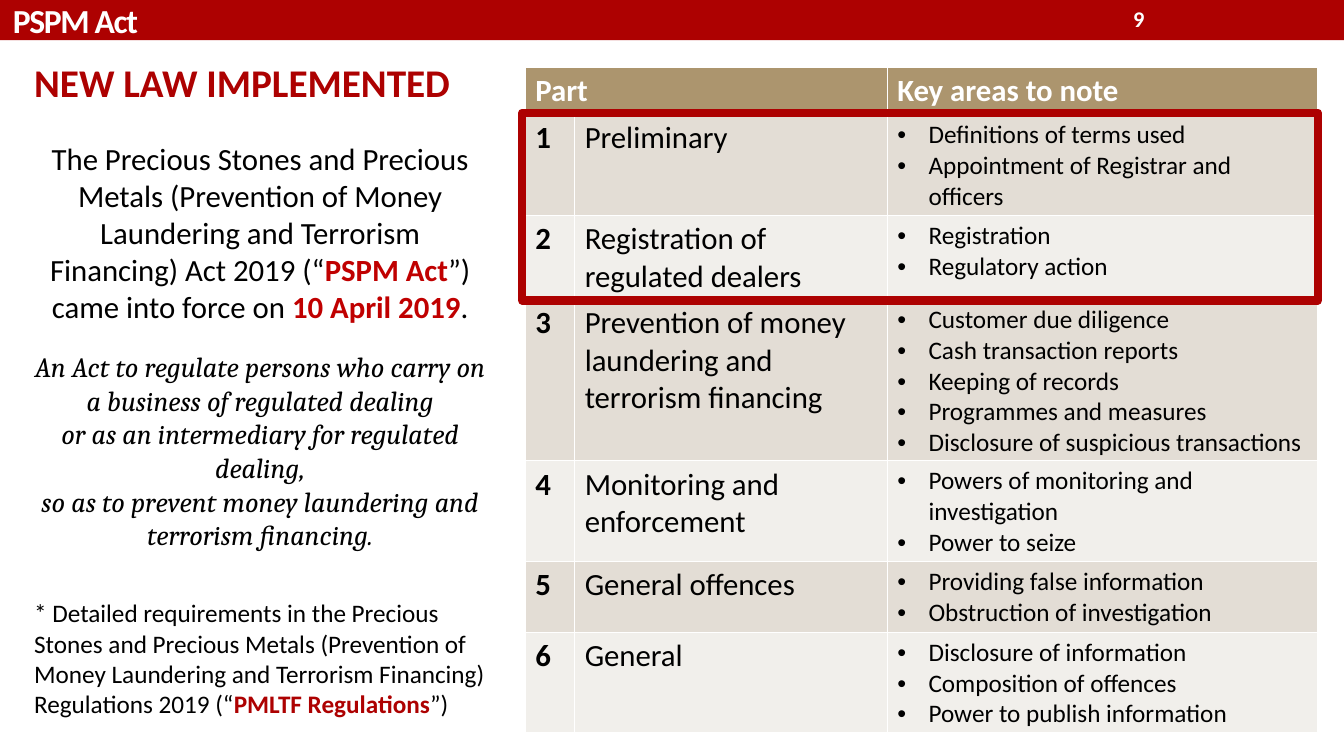
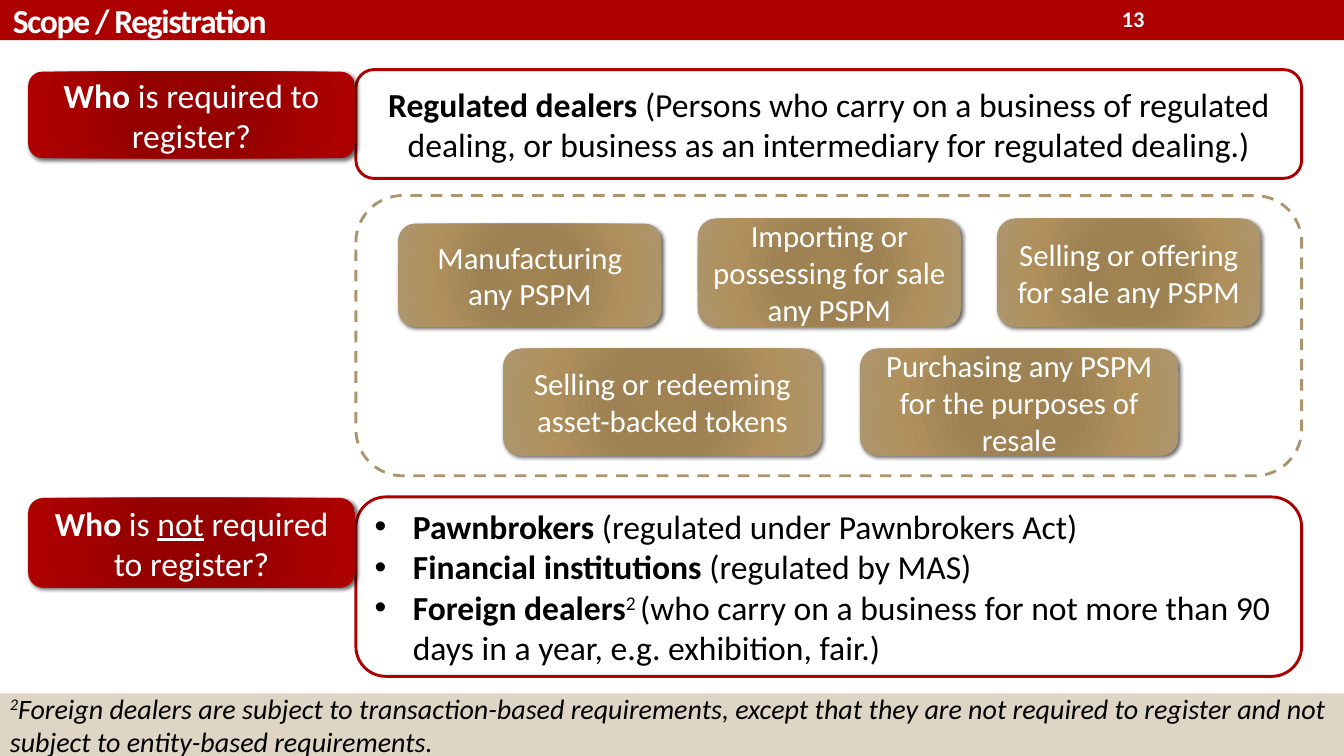
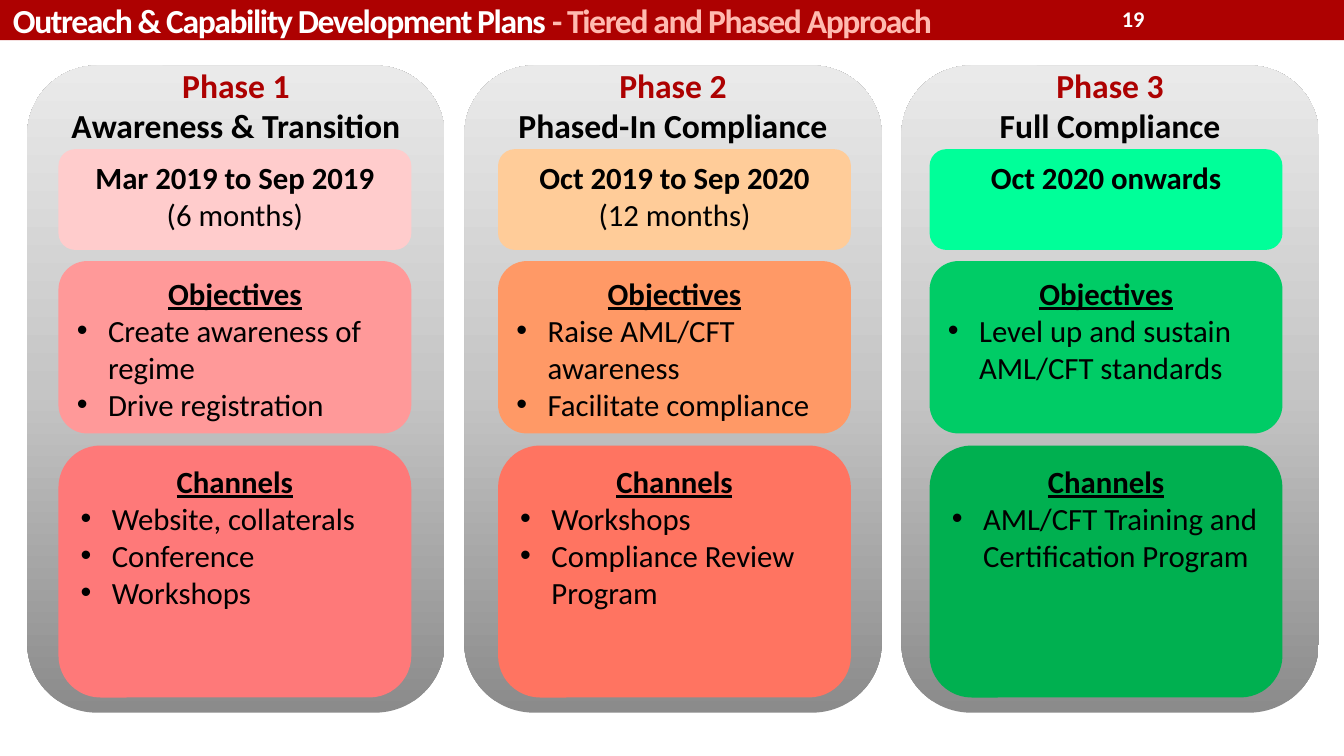
from lxml import etree
from pptx import Presentation
from pptx.dml.color import RGBColor
from pptx.enum.dml import MSO_LINE
from pptx.enum.shapes import MSO_SHAPE
from pptx.enum.text import MSO_ANCHOR, PP_ALIGN
from pptx.oxml.ns import qn
from pptx.util import Emu, Inches, Pt

RECT, ROUND = MSO_SHAPE.RECTANGLE, MSO_SHAPE.ROUNDED_RECTANGLE
LEFT, CENTER, RIGHT = PP_ALIGN.LEFT, PP_ALIGN.CENTER, PP_ALIGN.RIGHT
TOP, MIDDLE = MSO_ANCHOR.TOP, MSO_ANCHOR.MIDDLE
DASH = MSO_LINE.DASH

COLORS = {
    "red": "AD0101", "bright": "C00000", "pink": "FFBAB0", "gold": "AC956E",
    "sand": "DED5C5", "dark_row": "E3DDD5", "light_row": "F1EFEB",
    "white": "FFFFFF", "black": "000000",
}
RED_GLOW = [(0, "950000"), (34, "950000"), (70, "A60000"), (100, "AD0101")]
GOLD_GLOW = [(0, "A18351"), (34, "9E8254"), (70, "B0915D"), (100, "AC956E")]
GREY_FADE = [(0, "8B8B8B"), (50, "C5C5C5"), (100, "EAEAEA")]
BOLD = {"bold": True}

LAW_TITLE = "NEW LAW IMPLEMENTED"
LAW_INTRO = [
    "The Precious Stones and Precious Metals (Prevention of Money Laundering and Terrorism Financing) Act 2019 (“",
    ("PSPM Act", {"bold": True, "color": "bright"}),
    "”) came into force on ",
    ("10 April 2019", {"bold": True, "color": "bright"}),
    ".",
]
LAW_PURPOSE = [
    "An Act to regulate persons who carry on a business of regulated dealing",
    "or as an intermediary for regulated dealing,",
    "so as to prevent money laundering and terrorism financing.",
]
LAW_NOTE = [[
    "* Detailed requirements in the Precious Stones and Precious Metals (Prevention of Money Laundering and Terrorism Financing) Regulations 2019 (“",
    ("PMLTF Regulations", {"bold": True, "color": "red"}),
    "”)",
]]
PARTS = [
    ("Preliminary", ["Definitions of terms used", "Appointment of Registrar and officers"]),
    ("Registration of regulated dealers", ["Registration", "Regulatory action"]),
    ("Prevention of money laundering and terrorism financing",
     ["Customer due diligence", "Cash transaction reports", "Keeping of records",
      "Programmes and measures", "Disclosure of suspicious transactions"]),
    ("Monitoring and enforcement", ["Powers of monitoring and investigation", "Power to seize"]),
    ("General offences", ["Providing false information", "Obstruction of investigation"]),
    ("General", ["Disclosure of information", "Composition of offences", "Power to publish information"]),
]
PART_WIDTHS = [0.49, 3.1, 4.27]

QUESTIONS = [
    (0.71, 0.86, [("Who", BOLD), " is required to register?"]),
    (4.94, 0.89, [("Who", BOLD), " is ", ("not", {"underline": True}), " required to register?"]),
]
DEALERS = [[
    ("Regulated dealers ", BOLD),
    "(Persons who carry on a business of regulated dealing, or business as an intermediary for regulated dealing.)",
]]
EXEMPT = [
    [("Pawnbrokers", BOLD), " (regulated under Pawnbrokers Act)"],
    [("Financial institutions ", BOLD), "(regulated by MAS)"],
    [("Foreign dealers", BOLD), ("2 ", {"raised": True}),
     "(who carry on a business for not more than 90 days in a year, e.g. exhibition, fair.)"],
]
FOOTNOTE = [[
    ("2", {"raised": True}),
    "Foreign dealers are subject to transaction-based requirements, except that they are not required to register and not subject to entity-based requirements.",
]]
ACTIVITY_ROWS = [
    (3.95, 2.97, 2.61, 3.24, [
        ("Manufacturing any PSPM", 1.02),
        ("Importing or possessing for sale any PSPM", 1.07),
        ("Selling or offering for sale any PSPM", 1.07),
    ]),
    (4.99, 3.54, 3.16, 4.52, [
        ("Selling or redeeming asset-backed tokens", 1.06),
        ("Purchasing any PSPM for the purposes of resale", 1.06),
    ]),
]

PHASES = [
    {"name": "Awareness & Transition", "left": 0.58, "fills": ["FFCCCC", "FF9999", "FE7979"],
     "dates": "Mar 2019 to Sep 2019", "length": "(6 months)",
     "Objectives": ["Create awareness of regime", "Drive registration"],
     "Channels": ["Website, collaterals", "Conference", "Workshops"]},
    {"name": "Phased-In Compliance", "left": 4.94, "fills": ["FFCC99", "FF9966", "FF7461"],
     "dates": "Oct 2019 to Sep 2020", "length": "(12 months)",
     "Objectives": ["Raise AML/CFT awareness", "Facilitate compliance"],
     "Channels": ["Workshops", "Compliance Review Program"]},
    {"name": "Full Compliance", "left": 9.22, "fills": ["00FF99", "00CC66", "00B050"],
     "dates": "Oct 2020 onwards", "length": None,
     "Objectives": ["Level up and sustain AML/CFT standards"],
     "Channels": ["AML/CFT Training and Certification Program"]},
]
PHASE_BANDS = [(1.48, 1.0), (2.59, 1.71), (4.42, 2.5)]


def rgb(color):
    return RGBColor.from_string(COLORS.get(color, color))


def child(parent, tag, **attributes):
    return etree.SubElement(parent, qn(tag), {key: str(value) for key, value in attributes.items()})


def write_para(para, spans, size=22, color="black", font="Calibri", bold=False, italic=False,
               underline=False, align=LEFT, before=0, bullet=0, tracking=0):
    para.alignment = align
    para.space_before = Pt(before)
    if bullet:
        props = para._p.get_or_add_pPr()
        props.set("marL", str(Inches(bullet)))
        props.set("indent", str(-Inches(bullet)))
        child(props, "a:buFont", typeface="Arial")
        child(props, "a:buChar", char="•")
    for part in [spans] if isinstance(spans, str) else spans:
        words, own = (part, {}) if isinstance(part, str) else part
        span = para.add_run()
        span.text = words
        span.font.name = font
        span.font.size = Pt(size)
        span.font.bold = own.get("bold", bold)
        span.font.italic = italic
        span.font.underline = own.get("underline", underline)
        span.font.color.rgb = rgb(own.get("color", color))
        if own.get("raised"):
            span.font._element.set("baseline", "30000")
        if tracking:
            span.font._element.set("spc", str(tracking * 100))


def write(frame, paragraphs, anchor=TOP, **style):
    frame.word_wrap = True
    frame.vertical_anchor = anchor
    for index, item in enumerate(paragraphs):
        spans, own = item if isinstance(item, tuple) else (item, {})
        para = frame.add_paragraph() if index else frame.paragraphs[0]
        write_para(para, spans, **{**style, **own})


def add_text(page, place, paragraphs, **style):
    box = page.shapes.add_textbox(*map(Inches, place))
    write(box.text_frame, paragraphs, **style)


def set_gradient(shape, stops, angle=None):
    gradient = etree.Element(qn("a:gradFill"), rotWithShape="1")
    stop_list = child(gradient, "a:gsLst")
    for position, color in stops:
        child(child(stop_list, "a:gs", pos=position * 1000), "a:srgbClr", val=color)
    if angle is None:
        circle = child(gradient, "a:path", path="circle")
        child(circle, "a:fillToRect", l=100000, t=100000, r=100000, b=100000)
    else:
        child(gradient, "a:lin", ang=angle * 60000, scaled=0)
    shape._element.spPr.find(qn("a:prstGeom")).addnext(gradient)


def add_shadow(shape):
    effects = shape._element.spPr.find(qn("a:effectLst"))
    shadow = child(effects, "a:outerShdw", blurRad=Pt(3), dist=Pt(2), dir=45 * 60000,
                   algn="tl", rotWithShape=0)
    child(child(shadow, "a:srgbClr", val=COLORS["black"]), "a:alpha", val=60000)


def add_box(page, kind, place, fill=None, line=None, weight=2.08, dash=None, gradient=None,
            angle=None, shadow=False, paragraphs=(), **style):
    box = page.shapes.add_shape(kind, *map(Inches, place))
    box.shadow.inherit = False
    if gradient:
        set_gradient(box, gradient, angle)
    elif fill:
        box.fill.solid()
        box.fill.fore_color.rgb = rgb(fill)
    else:
        box.fill.background()
    if line:
        box.line.color.rgb = rgb(line)
        box.line.width = Pt(weight)
        if dash:
            box.line.dash_style = dash
    else:
        box.line.fill.background()
    if shadow:
        add_shadow(box)
    write(box.text_frame, paragraphs, **style)


def start_page(deck, title, number):
    page = deck.slides.add_slide(deck.slide_layouts[6])
    add_box(page, RECT, (0, 0, 13.33, 0.4), fill="red")
    add_text(page, (0.03, 0, 11.02, 0.4), [title], anchor=MIDDLE, size=24, color="white",
             bold=True, tracking=-1)
    add_text(page, (9.89, 0, 1.56, 0.36), [str(number)], anchor=MIDDLE, size=16, color="white",
             bold=True, align=RIGHT)
    return page


def fill_cell(cell, paragraphs, fill, bottom=1, **style):
    write(cell.text_frame, paragraphs, **style)
    props = cell._tc.get_or_add_tcPr()
    for side, weight in (("L", 1), ("R", 1), ("T", 1), ("B", bottom)):
        edge = child(props, "a:ln" + side, w=Pt(weight))
        child(child(edge, "a:solidFill"), "a:srgbClr", val=COLORS["white"])
    cell.fill.solid()
    cell.fill.fore_color.rgb = rgb(fill)


def build_act(deck):
    page = start_page(deck, "PSPM Act", 9)
    rows = len(PARTS) + 1
    table = page.shapes.add_table(rows, 3, Inches(5.21), Inches(0.67), Inches(sum(PART_WIDTHS)),
                                  Inches(0.41 * rows)).table
    for column, width in zip(table.columns, PART_WIDTHS):
        column.width = Inches(width)
    table.cell(0, 0).merge(table.cell(0, 1))
    for column, heading in ((0, "Part"), (2, "Key areas to note")):
        fill_cell(table.cell(0, column), [heading], "gold", bottom=3, color="white", bold=True)
    for row, (name, areas) in enumerate(PARTS, 1):
        fill = "dark_row" if row % 2 else "light_row"
        fill_cell(table.cell(row, 0), [str(row)], fill, bold=True)
        fill_cell(table.cell(row, 1), [name], fill)
        fill_cell(table.cell(row, 2), areas, fill, size=18, bullet=0.31)
    add_text(page, (0.24, 0.53, 4.68, 2.76), [
        (LAW_TITLE, {"size": 28, "color": "red", "bold": True}),
        (LAW_INTRO, {"align": CENTER, "before": 24.4}),
    ])
    add_text(page, (0.24, 3.42, 4.68, 2.12), LAW_PURPOSE, size=20, font="Cambria", italic=True,
             align=CENTER)
    add_text(page, (0.24, 5.88, 4.68, 1.62), LAW_NOTE, size=18)
    add_box(page, RECT, (5.18, 1.12, 7.89, 1.86), line="red", weight=6)


def build_scope(deck):
    page = start_page(deck, "Scope / Registration", 13)
    panel = {"fill": "white", "line": "red", "anchor": MIDDLE, "size": 24}
    glow = {"shadow": True, "anchor": MIDDLE, "color": "white", "align": CENTER}
    add_box(page, ROUND, (3.53, 1.94, 9.38, 2.78), fill="white", line="gold", dash=DASH)
    add_box(page, ROUND, (3.53, 0.69, 9.38, 1.08), paragraphs=DEALERS, align=CENTER, **panel)
    add_box(page, ROUND, (3.53, 4.93, 9.38, 1.78), paragraphs=EXEMPT, bullet=0.38, **panel)
    for top, height, question in QUESTIONS:
        add_box(page, ROUND, (0.28, top, 3.24, height), gradient=RED_GLOW, paragraphs=[question],
                size=24, **glow)
    for left, pitch, width, bottom, activities in ACTIVITY_ROWS:
        for index, (activity, height) in enumerate(activities):
            add_box(page, ROUND, (left + index * pitch, bottom - height, width, height),
                    gradient=GOLD_GLOW, paragraphs=[activity], **glow)
    add_box(page, RECT, (0, 6.88, 13.33, 0.62), fill="sand", paragraphs=FOOTNOTE, anchor=MIDDLE,
            size=20, italic=True)


def build_phases(deck):
    title = ["Outreach & Capability Development Plans ",
             ("- Tiered and Phased Approach", {"color": "pink"})]
    page = start_page(deck, title, 19)
    heading = {"bold": True, "align": CENTER}
    for index, phase in enumerate(PHASES):
        card_left = 0.27 + index * 4.335
        add_box(page, ROUND, (card_left, 0.65, 4.14, 6.42), gradient=GREY_FADE, angle=270)
        add_text(page, (card_left, 0.59, 4.14, 0.91),
                 [(f"Phase {index + 1}", {"color": "red"}), phase["name"]], size=24, **heading)
        period = [(phase["dates"], BOLD)]
        if phase["length"]:
            period.append(phase["length"])
        contents = [[(item, {"align": CENTER}) if isinstance(item, str)
                     else (item[0], heading) for item in period]]
        for topic in ("Objectives", "Channels"):
            contents.append([(topic, {**heading, "underline": True})]
                            + [(item, {"bullet": 0.31}) for item in phase[topic]])
        for (top, height), fill, paragraphs in zip(PHASE_BANDS, phase["fills"], contents):
            add_box(page, ROUND, (phase["left"], top, 3.5, height), fill=fill,
                    paragraphs=paragraphs)


def main():
    deck = Presentation()
    deck.slide_width, deck.slide_height = Inches(13.33), Inches(7.5)
    build_act(deck)
    build_scope(deck)
    build_phases(deck)
    deck.save("out.pptx")


if __name__ == "__main__":
    main()
